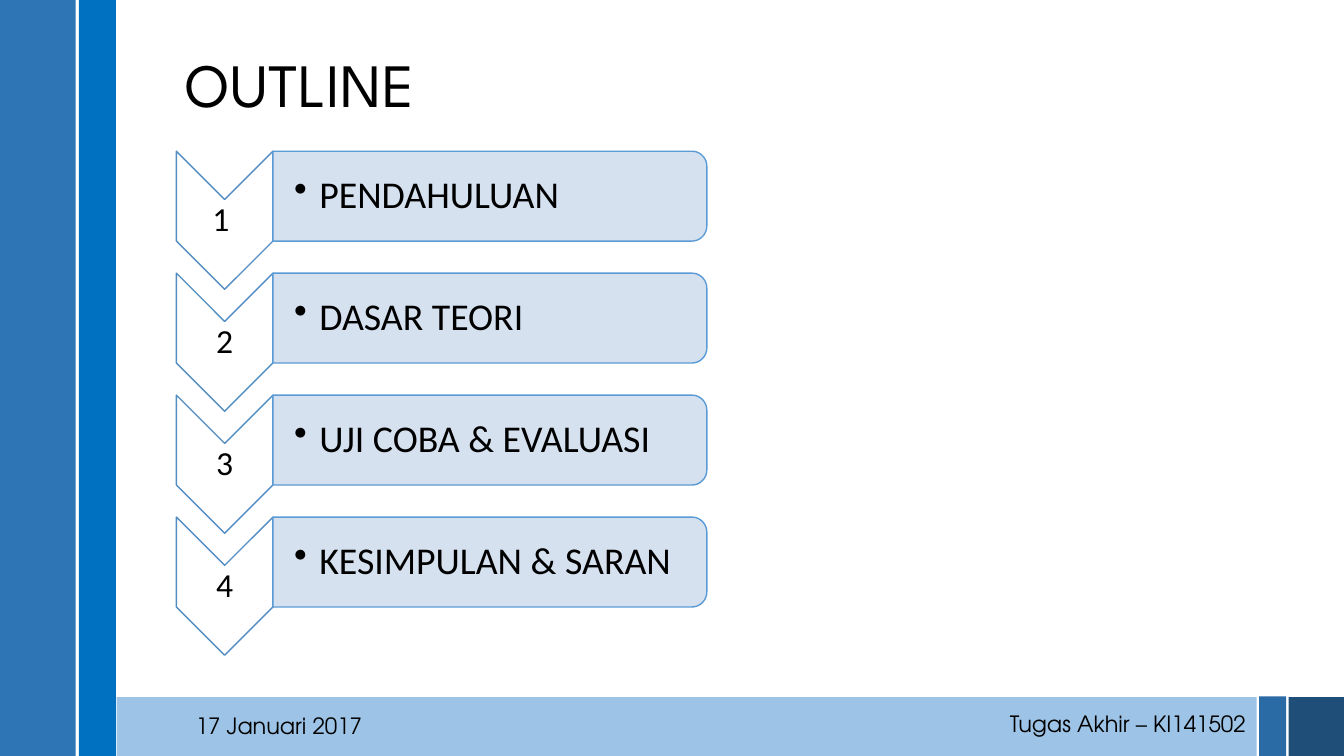
"""Build the outline slide: four numbered chapters beside a blue frame."""
import math

from lxml import etree
from pptx import Presentation, util as u
from pptx.dml import color
from pptx.enum import shapes, text
from pptx.oxml import ns

COLORS = {
    "side": "2E75B6", "stripe": "0070C0", "footer": "9DC3E6",
    "accent": "2A6BA6", "corner": "1F4E79", "white": "FFFFFF",
    "black": "000000", "arrow line": "538DC1", "card": "D2DEEF",
    "card line": "5B9BD5",
}
COLUMNS, ROWS = 160, 90
BARS = [
    (0, 0, 9, 90, "side"),
    (9.4, 0, 4.4, 90, "stripe"),
    (13.9, 83, 135.7, 7, "footer"),
    (149.9, 82.9, 3.2, 7.1, "accent"),
    (153.4, 83, 6.6, 7, "corner"),
]
CHAPTERS = [
    ("1 ", "PENDAHULUAN"),
    ("2", "DASAR TEORI"),
    ("3", "UJI COBA & EVALUASI"),
    ("4", "KESIMPULAN & SARAN"),
]
ARROW_LEFT, CARD_LEFT, CARD_RIGHT = 21, 32.5, 84.15
FIRST_TOP, PITCH, CARD_HEIGHT, NOTCH, RADIUS = 18, 14.52, 10.7, 5.75, 1.78


class OutlinePage:
    """Draws styled elements on one slide, measured in grid cells."""

    def __init__(self, deck):
        self.page = deck.slides.add_slide(deck.slide_layouts[5])
        self.column = deck.slide_width / COLUMNS
        self.row = deck.slide_height / ROWS

    def point(self, x, y):
        return round(x * self.column), round(y * self.row)

    def area(self, left, top, width, height):
        return *self.point(left, top), *self.point(width, height)

    def paint(self, shape, fill, line=None):
        shape.shadow.inherit = False
        shape.fill.solid()
        shape.fill.fore_color.rgb = color.RGBColor.from_string(COLORS[fill])
        if line:
            shape.line.color.rgb = color.RGBColor.from_string(COLORS[line])
            shape.line.width = u.Pt(1)
        else:
            shape.line.fill.background()

    def label(self, shape, words, font, size, align, insets=None, spacing=None):
        frame = shape.text_frame
        frame.word_wrap = True
        if insets:
            frame.vertical_anchor = text.MSO_ANCHOR.MIDDLE
            (frame.margin_left, frame.margin_top,
             frame.margin_right, frame.margin_bottom) = map(u.Inches, insets)
        frame.text = words
        para = frame.paragraphs[0]
        para.alignment = align
        if spacing:
            para.line_spacing = spacing
        para.font.name = font
        para.font.size = u.Pt(size)
        para.font.color.rgb = color.RGBColor.from_string(COLORS["black"])
        return para

    def bar(self, left, top, width, height, fill):
        box = self.page.shapes.add_shape(
            shapes.MSO_SHAPE.RECTANGLE, *self.area(left, top, width, height))
        self.paint(box, fill)

    def title(self, words, *area):
        box = self.page.shapes.title
        box.left, box.top, box.width, box.height = self.area(*area)
        self.label(box, words, "League Spartan", 44, text.PP_ALIGN.LEFT,
                   (0.1, 0.05, 0.1, 0.05), 0.9)
        box.text_frame.auto_size = text.MSO_AUTO_SIZE.NONE

    def footnote(self, words, *area):
        box = self.page.shapes.add_textbox(*self.area(*area))
        self.label(box, words, "TeX Gyre Adventor", 16, text.PP_ALIGN.RIGHT)

    def outline(self, corners, fill, line):
        points = [self.point(x, y) for x, y in corners]
        builder = self.page.shapes.build_freeform(*points[0])
        builder.add_line_segments(points[1:], close=True)
        shape = builder.convert_to_shape()
        self.paint(shape, fill, line)
        return shape

    def arrow(self, number, top):
        middle = (ARROW_LEFT + CARD_LEFT) / 2
        bottom = top + CARD_HEIGHT
        shape = self.outline(
            [(ARROW_LEFT, top), (middle, top + NOTCH), (CARD_LEFT, top),
             (CARD_LEFT, bottom), (middle, bottom + NOTCH), (ARROW_LEFT, bottom)],
            "white", "arrow line")
        self.label(shape, number, "Calibri", 24, text.PP_ALIGN.CENTER,
                   (0.02, 0.5, 0.02, 0.5), 0.9)

    def card(self, words, top):
        bottom = top + CARD_HEIGHT
        corners = [(CARD_LEFT, bottom), (CARD_LEFT, top)]
        for start, y in ((-90, top + RADIUS), (0, bottom - RADIUS)):
            for step in range(0, 91, 10):
                angle = math.radians(start + step)
                corners.append((CARD_RIGHT - RADIUS + RADIUS * math.cos(angle),
                                y + RADIUS * math.sin(angle)))
        shape = self.outline(corners, "card", "card line")
        tint = shape._element.spPr.find(ns.qn("a:solidFill"))[0]
        etree.SubElement(tint, ns.qn("a:alpha"), val="90000")
        para = self.label(shape, words, "Calibri", 27, text.PP_ALIGN.LEFT,
                          (0.21, 0.06, 0.06, 0.06), 0.9)
        properties = para._p.get_or_add_pPr()
        properties.set("marL", str(u.Inches(0.25)))
        properties.set("indent", str(u.Inches(-0.25)))
        bullet = etree.Element(ns.qn("a:buChar"), char="•")
        properties.find(ns.qn("a:lnSpc")).addnext(bullet)


def main():
    deck = Presentation()
    deck.slide_width, deck.slide_height = u.Inches(13.33), u.Inches(7.5)
    slide = OutlinePage(deck)
    for bar in BARS:
        slide.bar(*bar)
    slide.footnote("17 Januari 2017", 13.9, 84.2, 30.4, 4.4)
    slide.footnote("Tugas Akhir – KI141502", 114.5, 84, 35, 4.4)
    slide.title("OUTLINE", 20.9, 2.3, 128.4, 16.3)
    for index, (number, words) in enumerate(CHAPTERS):
        top = FIRST_TOP + index * PITCH
        slide.arrow(number, top)
        slide.card(words, top)
    deck.save("out.pptx")


if __name__ == "__main__":
    main()
